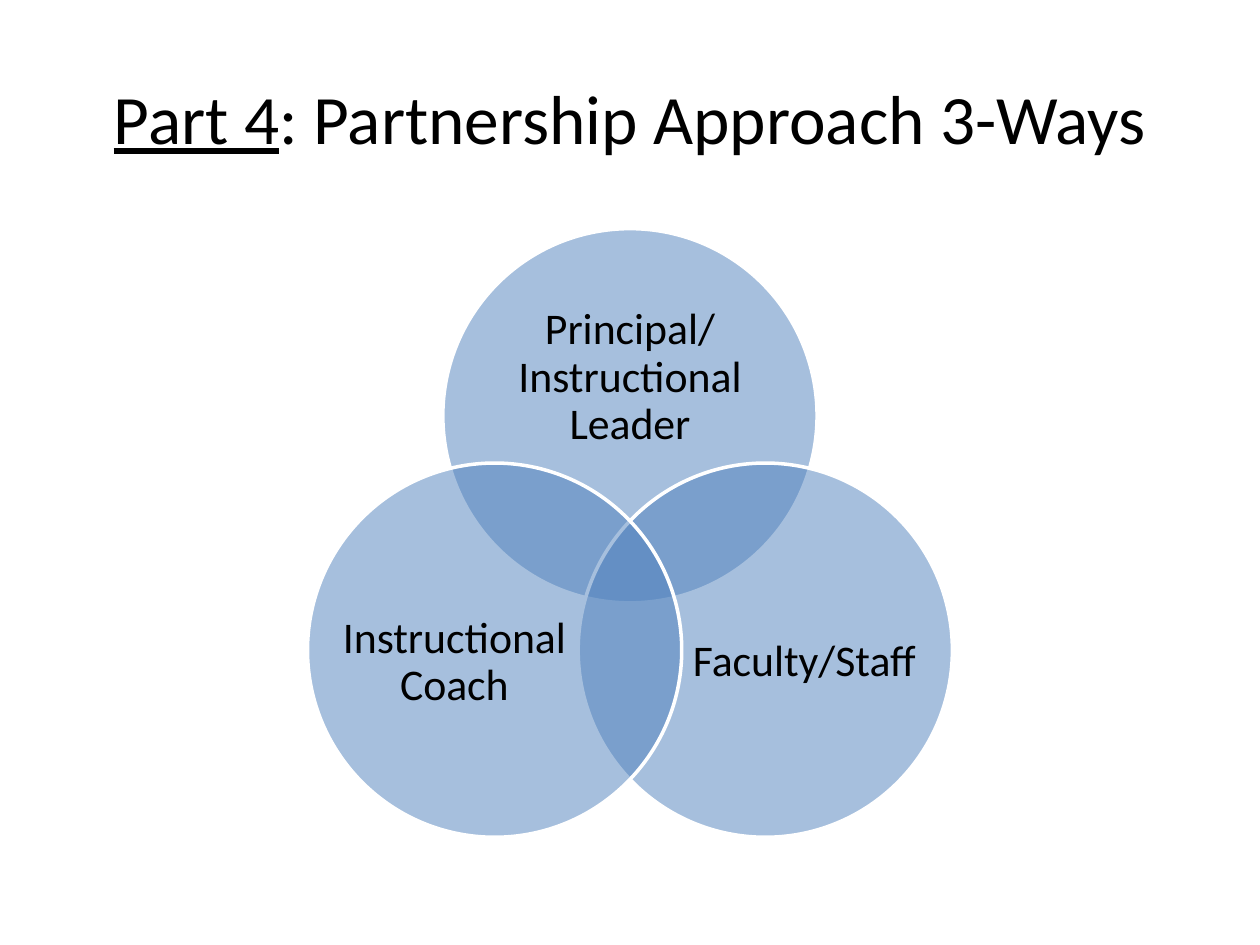
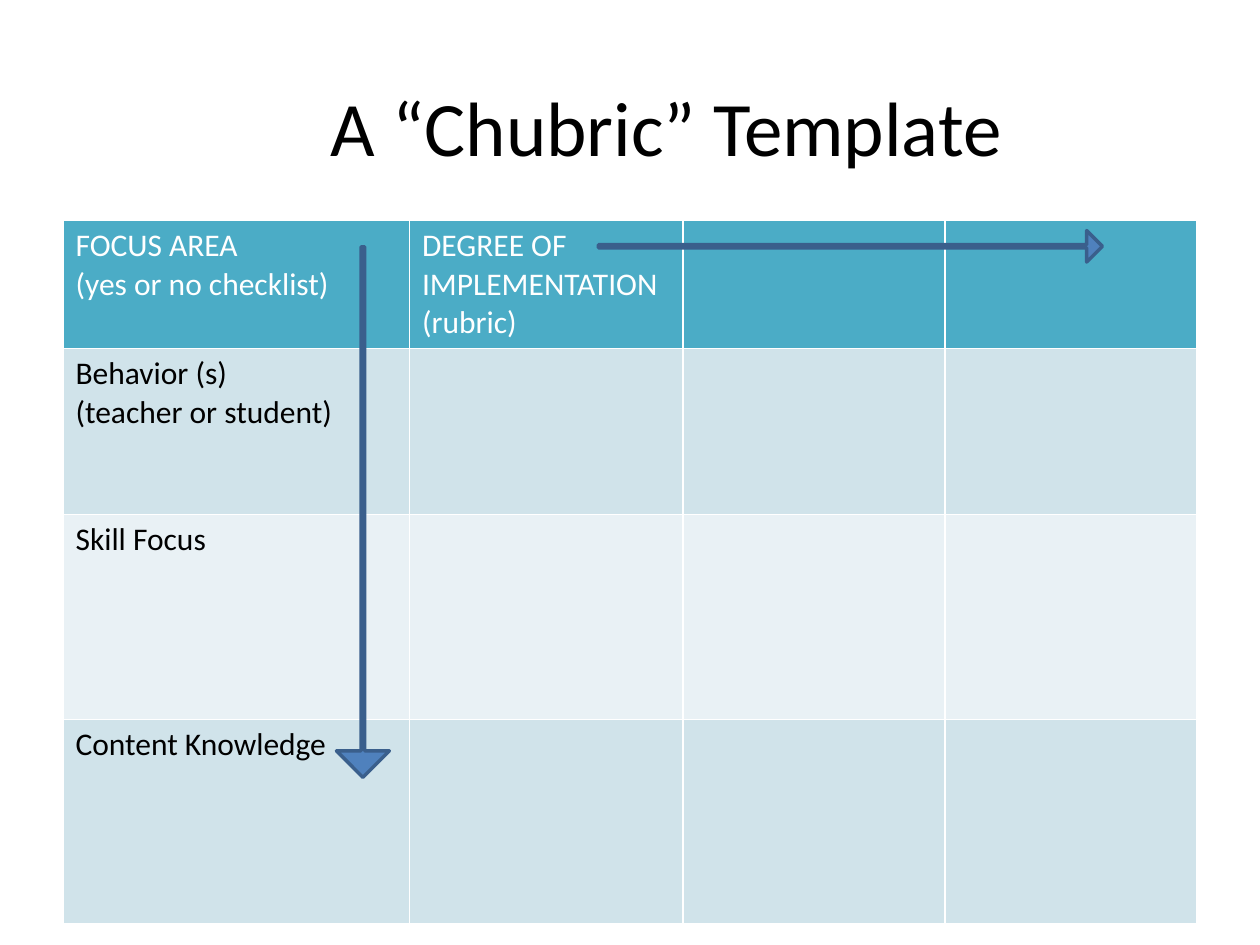
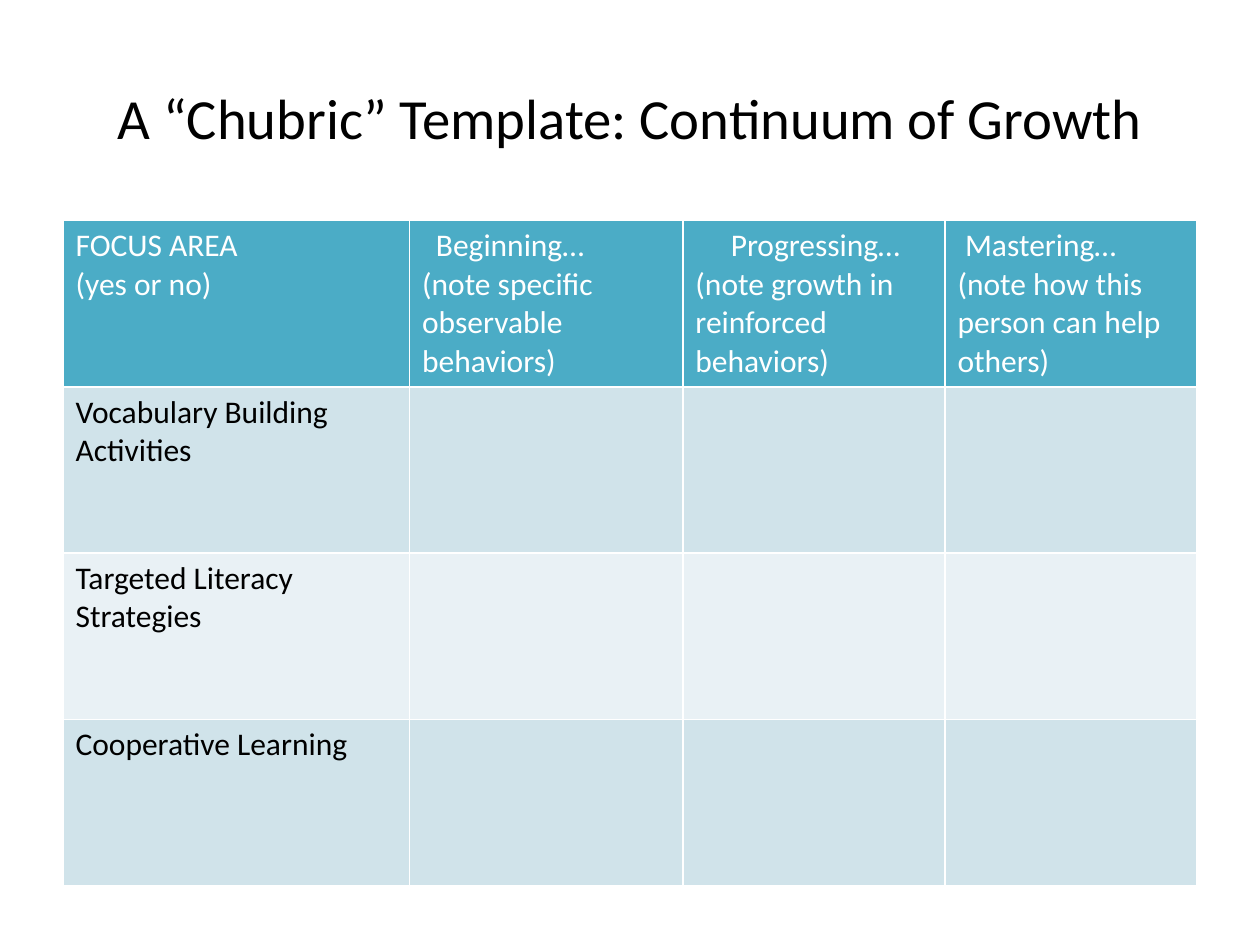
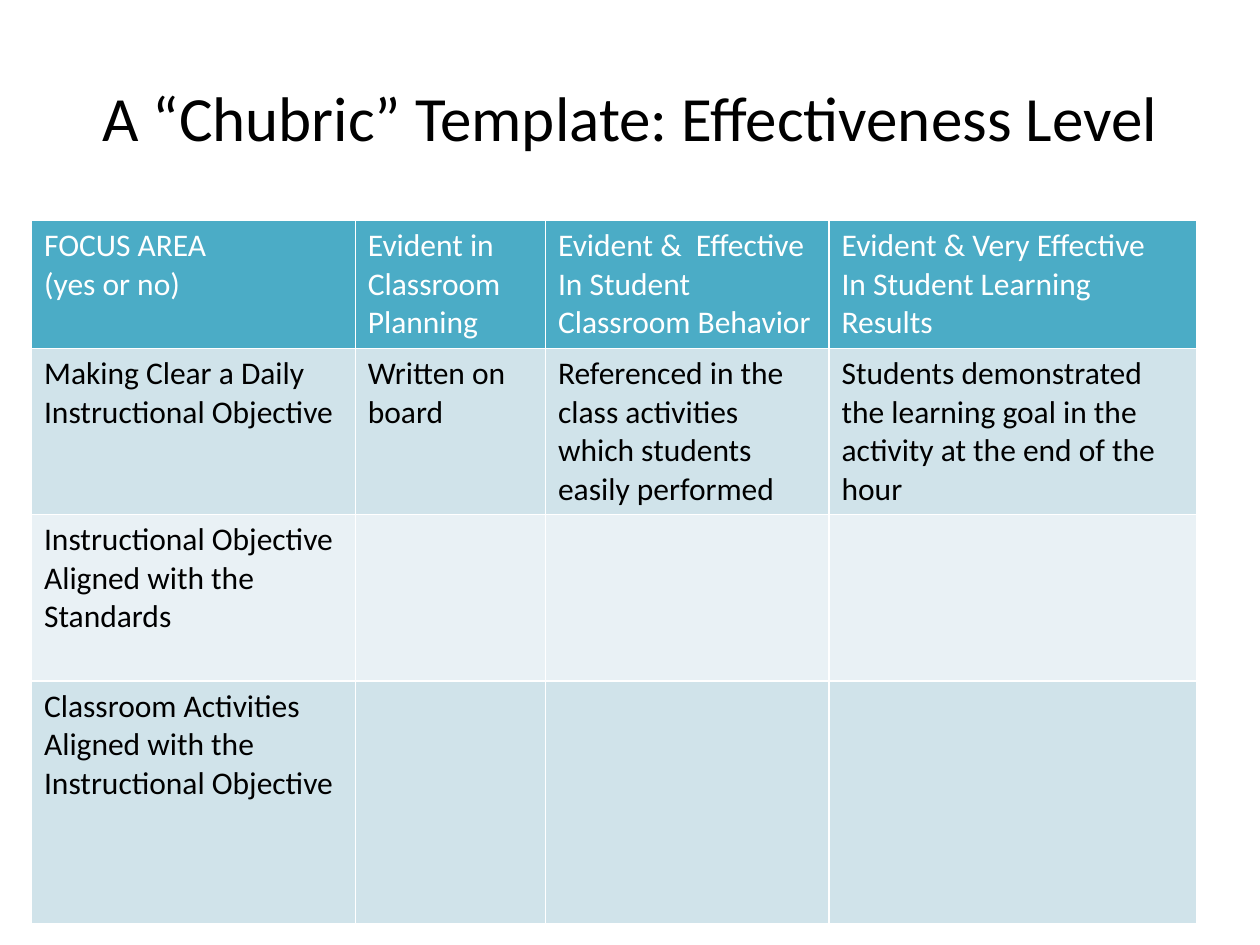
import math

import lxml.etree
import pptx
import pptx.dml.color
import pptx.enum.shapes
import pptx.enum.text
import pptx.oxml.ns
import pptx.util

SHAPES = pptx.enum.shapes.MSO_SHAPE
CENTER = pptx.enum.text.PP_ALIGN.CENTER
MIDDLE = pptx.enum.text.MSO_ANCHOR.MIDDLE
SLIDE_SIZE = (10, 7.5)

THEME = {
    "font": "Calibri",
    "ink": "000000",
    "paper": "FFFFFF",
    "blue": "4F81BD",
    "blue_edge": "3A5F8C",
    "header": "4BACC6",
    "bands": ("D0E3EA", "E9F1F5"),
    "label_size": 25,
    "cell_size": 18,
    "outline": 2,
    "grid_line": 1,
}

TITLE_BOX = (0.5, 0.3, 9, 1.25)
TABLE_TOP = 1.75
CELL_PADDING = 0.1      # top and bottom insets of a cell together
CELL_LINE = 0.305       # height of one line of cell text

# Runs are (text, underlined).
PARTNERS = {
    "title": [("Part 4", True), (": Partnership Approach 3-Ways", False)],
    "title_size": 39.6,
    "center": (5, 4.54),
    "spread": 1.24,
    "diameter": 2.97,
    # text, direction in degrees, label offset from circle centre, label size
    "circles": [
        ("Principal/ Instructional Leader", -90, (0, -0.3), (2.18, 1.34)),
        ("Faculty/Staff", 30, (0.31, 0.1), (1.78, 1.63)),
        ("Instructional Coach", 150, (-0.32, 0.1), (1.78, 1.63)),
    ],
}

# A row is (height in text lines, cells); a cell is a list of paragraphs.
# "header_indents" moves the first paragraph of each header cell.
CHUBRICS = [
    {
        "title": [("A “Chubric” Template", False)],
        "title_size": 44,
        "title_box": (0.5, 0.44, 8.48, 1.11),
        "title_indent": 1.1,
        "left": 0.5,
        "columns": (2.75, 2.17, 2.08, 2),
        "rows": [
            (3, [["FOCUS AREA", "(yes or no checklist)"],
                 ["DEGREE OF IMPLEMENTATION", "(rubric)"]]),
            (4, [["Behavior (s)", "(teacher or student)"]]),
            (5, [["Skill Focus"]]),
            (5, [["Content Knowledge"]]),
        ],
        "arrows": [
            (SHAPES.DOWN_ARROW, (2.67, 1.96, 0.42, 4.21), 0.07),
            (SHAPES.RIGHT_ARROW, (4.75, 1.83, 4, 0.25), 0.1),
        ],
    },
    {
        "title": [("A “Chubric” Template: Continuum of Growth", False)],
        "title_size": 32.4,
        "left": 0.5,
        "columns": (2.75, 2.17, 2.08, 2),
        "header_indents": (0, 0.11, 0.28, 0.06),
        "rows": [
            (4, [["FOCUS AREA", "(yes or no)"],
                 ["Beginning…", "(note specific observable behaviors)"],
                 ["Progressing…", "(note growth in reinforced behaviors)"],
                 ["Mastering…", "(note how this person can help others)"]]),
            (4, [["Vocabulary Building Activities"]]),
            (4, [["Targeted Literacy Strategies"]]),
            (4, [["Cooperative Learning"]]),
        ],
    },
    {
        "title": [("A “Chubric” Template: Effectiveness Level", False)],
        "title_size": 36,
        "left": 0.25,
        "columns": (2.57, 1.51, 2.25, 2.92),
        "rows": [
            (3, [["FOCUS AREA", "(yes or no)"],
                 ["Evident in Classroom Planning"],
                 ["Evident &  Effective", "In Student Classroom Behavior"],
                 ["Evident & Very Effective", "In Student Learning Results"]]),
            (4, [["Making Clear a Daily Instructional Objective"],
                 ["Written on board"],
                 ["Referenced in the class activities which students easily performed"],
                 ["Students demonstrated the learning goal in the activity at the end of the hour"]]),
            (4, [["Instructional Objective Aligned with the Standards"]]),
            (6, [["Classroom Activities Aligned with the Instructional Objective"]]),
        ],
    },
]


def inches(lengths):
    return [pptx.util.Inches(length) for length in lengths]


def rgb(color):
    return pptx.dml.color.RGBColor.from_string(color)


def apply(target, formats):
    for name, value in formats.items():
        setattr(target, name, value)


def fill_solid(part, color):
    part.fill.solid()
    part.fill.fore_color.rgb = rgb(color)


def set_font(font, size, color, **formats):
    apply(font, {"name": THEME["font"], "size": pptx.util.Pt(size), **formats})
    font.color.rgb = rgb(color)


def indent(paragraph, length):
    if length:
        paragraph._p.get_or_add_pPr().set("marL", str(pptx.util.Inches(length)))


def add_centered_text(slide, box, runs, size, **frame_formats):
    frame = slide.shapes.add_textbox(*inches(box)).text_frame
    apply(frame, {"word_wrap": True, "vertical_anchor": MIDDLE, **frame_formats})
    paragraph = frame.paragraphs[0]
    paragraph.alignment = CENTER
    for text, underlined in runs:
        run = paragraph.add_run()
        run.text = text
        set_font(run.font, size, THEME["ink"], underline=underlined)
    return paragraph


def add_title(slide, content):
    title = add_centered_text(slide, content.get("title_box", TITLE_BOX),
                              content["title"], content["title_size"])
    indent(title, content.get("title_indent"))


def add_outlined(slide, kind, box, edge):
    shape = slide.shapes.add_shape(kind, *inches(box))
    shape.shadow.inherit = False
    fill_solid(shape, THEME["blue"])
    shape.line.color.rgb = rgb(edge)
    shape.line.width = pptx.util.Pt(THEME["outline"])
    return shape


def set_opacity(shape, percent):
    color = shape._element.spPr.find(".//" + pptx.oxml.ns.qn("a:srgbClr"))
    lxml.etree.SubElement(color, pptx.oxml.ns.qn("a:alpha"), val=str(percent * 1000))


def build_venn(slide, venn):
    diameter = venn["diameter"]
    for text, degrees, offset, (width, height) in venn["circles"]:
        angle = math.radians(degrees)
        x = venn["center"][0] + venn["spread"] * math.cos(angle)
        y = venn["center"][1] + venn["spread"] * math.sin(angle)
        circle = add_outlined(
            slide, SHAPES.OVAL,
            (x - diameter / 2, y - diameter / 2, diameter, diameter), THEME["paper"])
        set_opacity(circle, 50)
        label = add_centered_text(
            slide, (x + offset[0] - width / 2, y + offset[1] - height / 2, width, height),
            [(text, False)], THEME["label_size"],
            margin_left=0, margin_right=0, margin_top=0, margin_bottom=0)
        label.line_spacing = 0.9


def add_borders(cell):
    properties = cell._tc.get_or_add_tcPr()
    for side in ("a:lnL", "a:lnR", "a:lnT", "a:lnB"):
        line = lxml.etree.SubElement(properties, pptx.oxml.ns.qn(side),
                                     w=str(pptx.util.Pt(THEME["grid_line"])))
        solid = lxml.etree.SubElement(line, pptx.oxml.ns.qn("a:solidFill"))
        lxml.etree.SubElement(solid, pptx.oxml.ns.qn("a:srgbClr"), val=THEME["paper"])


def fill_cell(cell, paragraphs, fill, ink, first_indent):
    add_borders(cell)
    fill_solid(cell, fill)
    cell.text = "\n".join(paragraphs)
    for paragraph in cell.text_frame.paragraphs:
        set_font(paragraph.font, THEME["cell_size"], ink)
        for run in paragraph.runs:
            set_font(run.font, THEME["cell_size"], ink)
    indent(cell.text_frame.paragraphs[0], first_indent)


def build_chubric(slide, chubric):
    columns, rows = chubric["columns"], chubric["rows"]
    heights = [CELL_PADDING + CELL_LINE * lines for lines, _ in rows]
    table = slide.shapes.add_table(
        len(rows), len(columns),
        *inches((chubric["left"], TABLE_TOP, sum(columns), sum(heights)))).table
    apply(table, {"first_row": False, "horz_banding": False})
    for column, width in zip(table.columns, inches(columns)):
        column.width = width
    for row, height in zip(table.rows, inches(heights)):
        row.height = height

    no_indents = (0,) * len(columns)
    for r, (_, cells) in enumerate(rows):
        fill = THEME["bands"][(r - 1) % 2] if r else THEME["header"]
        ink = THEME["ink"] if r else THEME["paper"]
        indents = no_indents if r else chubric.get("header_indents", no_indents)
        for c, first_indent in enumerate(indents):
            paragraphs = cells[c] if c < len(cells) else []
            fill_cell(table.cell(r, c), paragraphs, fill, ink, first_indent)

    for kind, box, shaft in chubric.get("arrows", []):
        arrow = add_outlined(slide, kind, box, THEME["blue_edge"])
        arrow.adjustments[0] = shaft


def main():
    deck = pptx.Presentation()
    deck.slide_width, deck.slide_height = inches(SLIDE_SIZE)
    blank = deck.slide_layouts[6]
    pages = [(build_venn, PARTNERS)] + [(build_chubric, chubric) for chubric in CHUBRICS]
    for build, content in pages:
        slide = deck.slides.add_slide(blank)
        add_title(slide, content)
        build(slide, content)
    deck.save("out.pptx")


if __name__ == "__main__":
    main()
